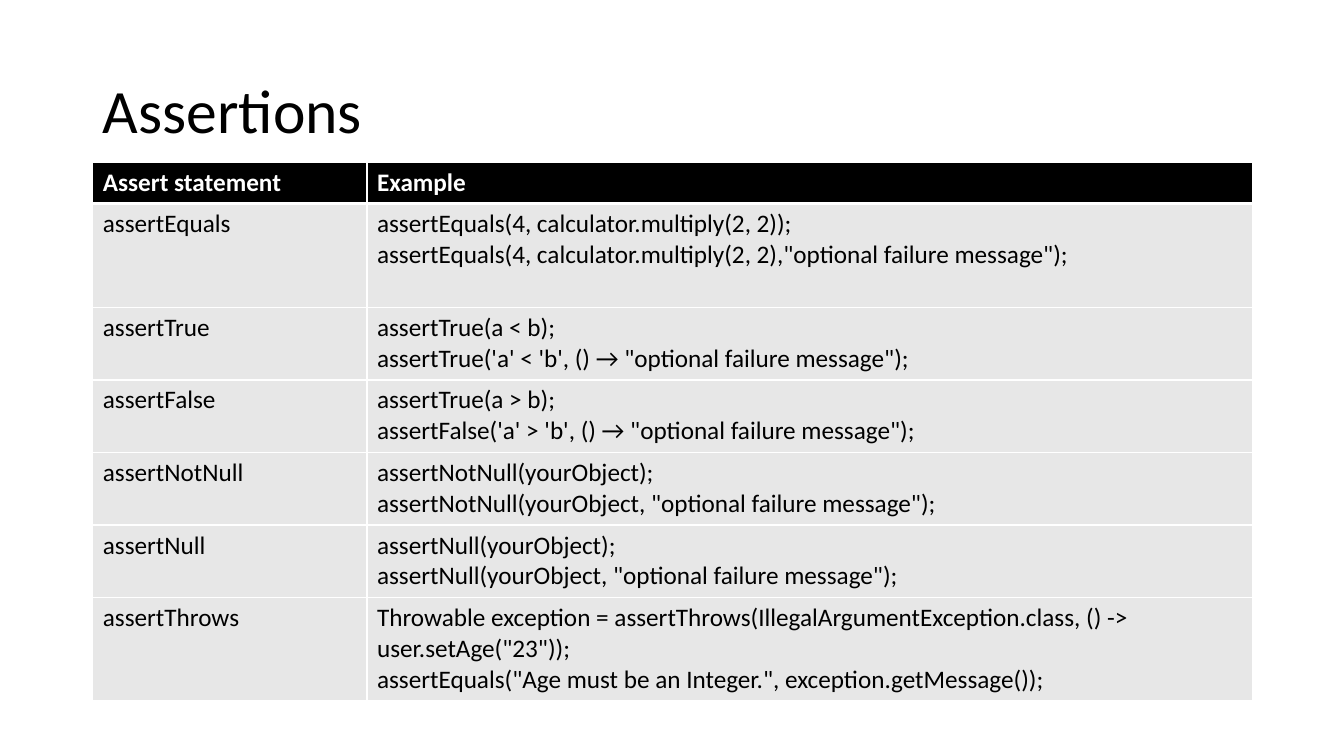
from lxml import etree
from pptx import Presentation
from pptx import util as u
from pptx.dml import color
from pptx.enum import text
from pptx.oxml import ns

TITLE = "Assertions"
HEADINGS = ("Assert statement", ["Example"])
ASSERTIONS = [
    ("assertEquals", ["assertEquals(4, calculator.multiply(2, 2));",
                      'assertEquals(4, calculator.multiply(2, 2),"optional failure message");']),
    ("assertTrue", ["assertTrue(a < b);",
                    "assertTrue('a' < 'b', () → \"optional failure message\");"]),
    ("assertFalse", ["assertTrue(a > b);",
                     "assertFalse('a' > 'b', () → \"optional failure message\");"]),
    ("assertNotNull", ["assertNotNull(yourObject);",
                       'assertNotNull(yourObject, "optional failure message");']),
    ("assertNull", ["assertNull(yourObject);",
                    'assertNull(yourObject, "optional failure message");']),
    ("assertThrows", ["Throwable exception = assertThrows(IllegalArgumentException.class, "
                      '() -> user.setAge("23"));',
                      'assertEquals("Age must be an Integer.", exception.getMessage());']),
]
COLORS = {"ink": "000000", "paper": "FFFFFF", "body": "E7E7E7"}
COLUMN_WIDTHS = (2.72, 8.78)
ROW_HEIGHTS = [0.41, 1.03] + [0.72] * 4 + [1.02]
LEFT, WIDTH = 0.92, 11.5


def rgb(name):
    return color.RGBColor.from_string(COLORS[name])


def write(frame, lines, size=18, ink="ink", bold=False, spacing=1.0):
    for index, line in enumerate(lines):
        paragraph = frame.add_paragraph() if index else frame.paragraphs[0]
        paragraph.alignment = text.PP_ALIGN.LEFT
        paragraph.line_spacing = spacing
        run = paragraph.add_run()
        run.text = line
        run.font.name = "Calibri"
        run.font.size = u.Pt(size)
        run.font.bold = bold
        run.font.color.rgb = rgb(ink)


def add_borders(cell, bottom, top):
    properties = cell._tc.get_or_add_tcPr()
    for side, points in (("L", 1), ("R", 1), ("T", top), ("B", bottom)):
        border = etree.SubElement(properties, ns.qn(f"a:ln{side}"), w=str(u.Pt(points)))
        fill = etree.SubElement(border, ns.qn("a:solidFill"))
        etree.SubElement(fill, ns.qn("a:srgbClr"), val=COLORS["paper"])


deck = Presentation()
deck.slide_width, deck.slide_height = u.Inches(13.33), u.Inches(7.5)
slide = deck.slides.add_slide(deck.slide_layouts[5])

heading = slide.shapes.title
heading.left, heading.top = u.Inches(LEFT), u.Inches(0.4)
heading.width, heading.height = u.Inches(WIDTH), u.Inches(1.45)
heading.text_frame.vertical_anchor = text.MSO_ANCHOR.MIDDLE
heading.text_frame.auto_size = text.MSO_AUTO_SIZE.NONE
write(heading.text_frame, [TITLE], size=44, spacing=0.9)

entries = [HEADINGS] + ASSERTIONS
assertions = slide.shapes.add_table(
    len(entries), len(COLUMN_WIDTHS), u.Inches(LEFT), u.Inches(1.61),
    u.Inches(WIDTH), u.Inches(sum(ROW_HEIGHTS))).table
for column, width in zip(assertions.columns, COLUMN_WIDTHS):
    column.width = u.Inches(width)
for row, height in zip(assertions.rows, ROW_HEIGHTS):
    row.height = u.Inches(height)

for number, (statement, examples) in enumerate(entries):
    is_header = number == 0
    for cell, lines in zip(assertions.rows[number].cells, ([statement], examples)):
        add_borders(cell, bottom=3 if is_header else 1, top=3 if number == 1 else 1)
        cell.fill.solid()
        cell.fill.fore_color.rgb = rgb("ink" if is_header else "body")
        write(cell.text_frame, lines, ink="paper" if is_header else "ink", bold=is_header)

deck.save("out.pptx")
